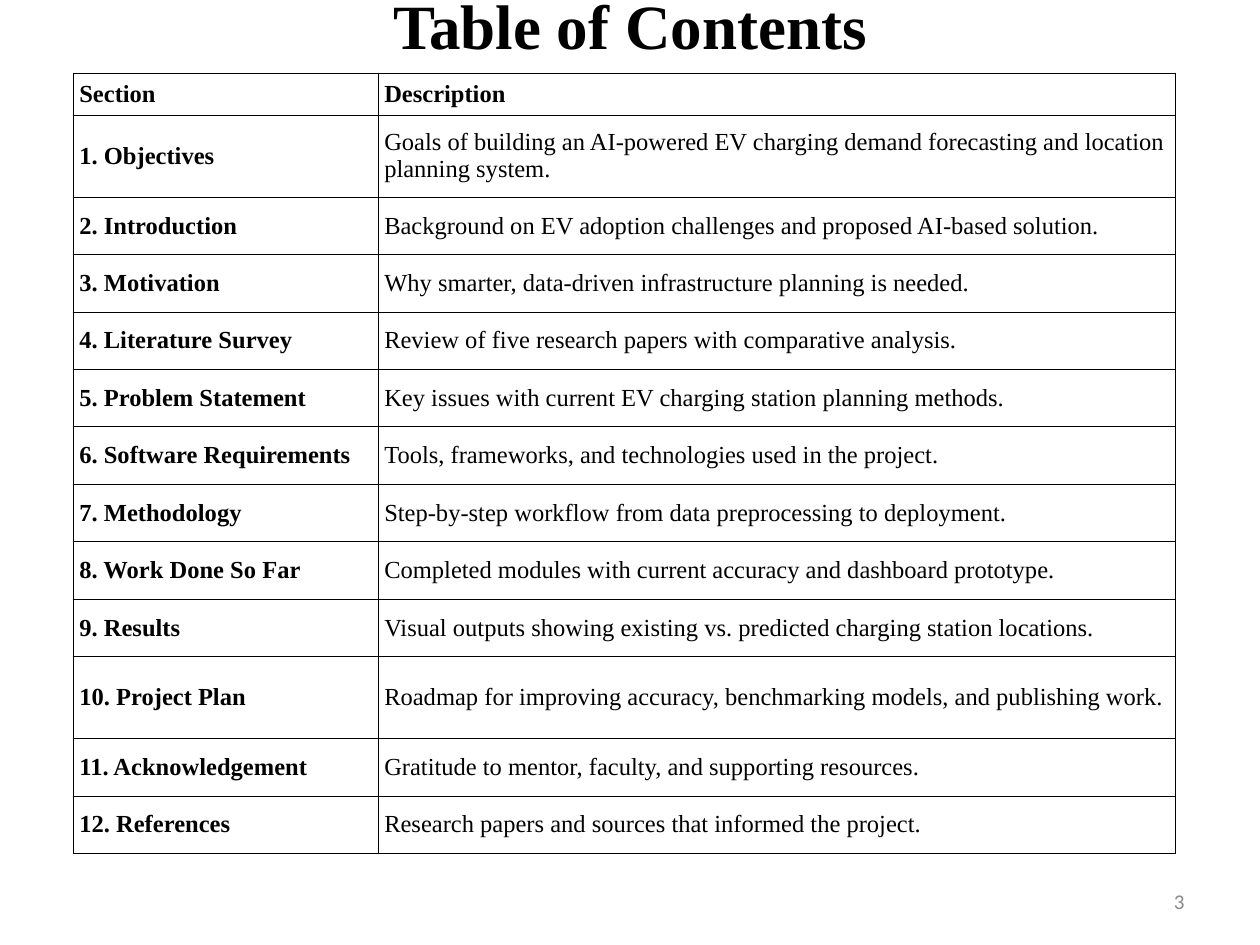
"""Build a table of contents slide with a two-column section table."""
from lxml.etree import SubElement
from pptx import Presentation
from pptx.dml.color import RGBColor
from pptx.enum.text import MSO_ANCHOR as Anchor, PP_ALIGN as Align
from pptx.oxml.ns import qn
from pptx.util import Inches, Pt

TITLE = "Table of Contents"
PAGE_NUMBER = "3"
HEADER = ("Section", "Description")
SECTIONS = [
    ("Objectives", "Goals of building an AI-powered EV charging demand forecasting and location planning system."),
    ("Introduction", "Background on EV adoption challenges and proposed AI-based solution."),
    ("Motivation", "Why smarter, data-driven infrastructure planning is needed."),
    ("Literature Survey", "Review of five research papers with comparative analysis."),
    ("Problem Statement", "Key issues with current EV charging station planning methods."),
    ("Software Requirements", "Tools, frameworks, and technologies used in the project."),
    ("Methodology", "Step-by-step workflow from data preprocessing to deployment."),
    ("Work Done So Far", "Completed modules with current accuracy and dashboard prototype."),
    ("Results", "Visual outputs showing existing vs. predicted charging station locations."),
    ("Project Plan", "Roadmap for improving accuracy, benchmarking models, and publishing work."),
    ("Acknowledgement", "Gratitude to mentor, faculty, and supporting resources."),
    ("References", "Research papers and sources that informed the project."),
]

BLACK = RGBColor(0x00, 0x00, 0x00)
GRAY = RGBColor(0x89, 0x89, 0x89)
SERIF, SANS = "Times New Roman", "Calibri"
COLUMN_WIDTHS = (2.42, 6.33)
TABLE_HEIGHT, HEADER_HEIGHT, TALL_HEIGHT = 6.19, 0.33, 0.65
TALL_ROWS = (1, 10)
BORDER_WIDTH = Pt(0.45)


def write(frame, text, font_name, size, color, bold=False, align=Align.LEFT):
    frame.word_wrap = True
    paragraph = frame.paragraphs[0]
    paragraph.text = text
    paragraph.alignment = align
    font = paragraph.font
    font.name, font.size, font.bold = font_name, Pt(size), bold
    font.color.rgb = color


def add_borders(cell):
    properties = cell._tc.get_or_add_tcPr()
    for side in ("a:lnL", "a:lnR", "a:lnT", "a:lnB"):
        line = SubElement(properties, qn(side), w=str(int(BORDER_WIDTH)))
        fill = SubElement(line, qn("a:solidFill"))
        SubElement(fill, qn("a:srgbClr"), val=str(BLACK))


def add_contents_table(slide):
    rows = [HEADER] + [(f"{number}. {name}", description)
                       for number, (name, description) in enumerate(SECTIONS, 1)]
    plain_count = len(SECTIONS) - len(TALL_ROWS)
    plain_height = (TABLE_HEIGHT - HEADER_HEIGHT - TALL_HEIGHT * len(TALL_ROWS)) / plain_count
    table = slide.shapes.add_table(
        len(rows), len(HEADER), Inches(0.58), Inches(0.58),
        Inches(sum(COLUMN_WIDTHS)), Inches(TABLE_HEIGHT)).table
    table.first_row = table.horz_banding = False
    for column, width in zip(table.columns, COLUMN_WIDTHS):
        column.width = Inches(width)
    for row_index, texts in enumerate(rows):
        height = TALL_HEIGHT if row_index in TALL_ROWS else plain_height
        table.rows[row_index].height = Inches(height if row_index else HEADER_HEIGHT)
        for column_index, text in enumerate(texts):
            cell = table.cell(row_index, column_index)
            cell.margin_left = cell.margin_right = Inches(0.05)
            cell.margin_top = cell.margin_bottom = Inches(0.05)
            cell.vertical_anchor = Anchor.MIDDLE
            bold = row_index == 0 or column_index == 0
            write(cell.text_frame, text, SERIF, 14, BLACK, bold)
            add_borders(cell)
            cell.fill.background()


def main():
    presentation = Presentation()
    presentation.slide_width, presentation.slide_height = Inches(10), Inches(7.5)
    slide = presentation.slides.add_slide(presentation.slide_layouts[5])

    title = slide.shapes.title
    title.left, title.top = Inches(0.5), Inches(-0.16)
    title.width, title.height = Inches(9), Inches(1.25)
    title.text_frame.vertical_anchor = Anchor.TOP
    write(title.text_frame, TITLE, SERIF, 36, BLACK, True, Align.CENTER)

    number_box = slide.shapes.add_textbox(Inches(7.17), Inches(6.95), Inches(2.33), Inches(0.4))
    number_box.text_frame.vertical_anchor = Anchor.MIDDLE
    write(number_box.text_frame, PAGE_NUMBER, SANS, 12, GRAY, align=Align.RIGHT)

    add_contents_table(slide)
    presentation.save("out.pptx")


if __name__ == "__main__":
    main()
